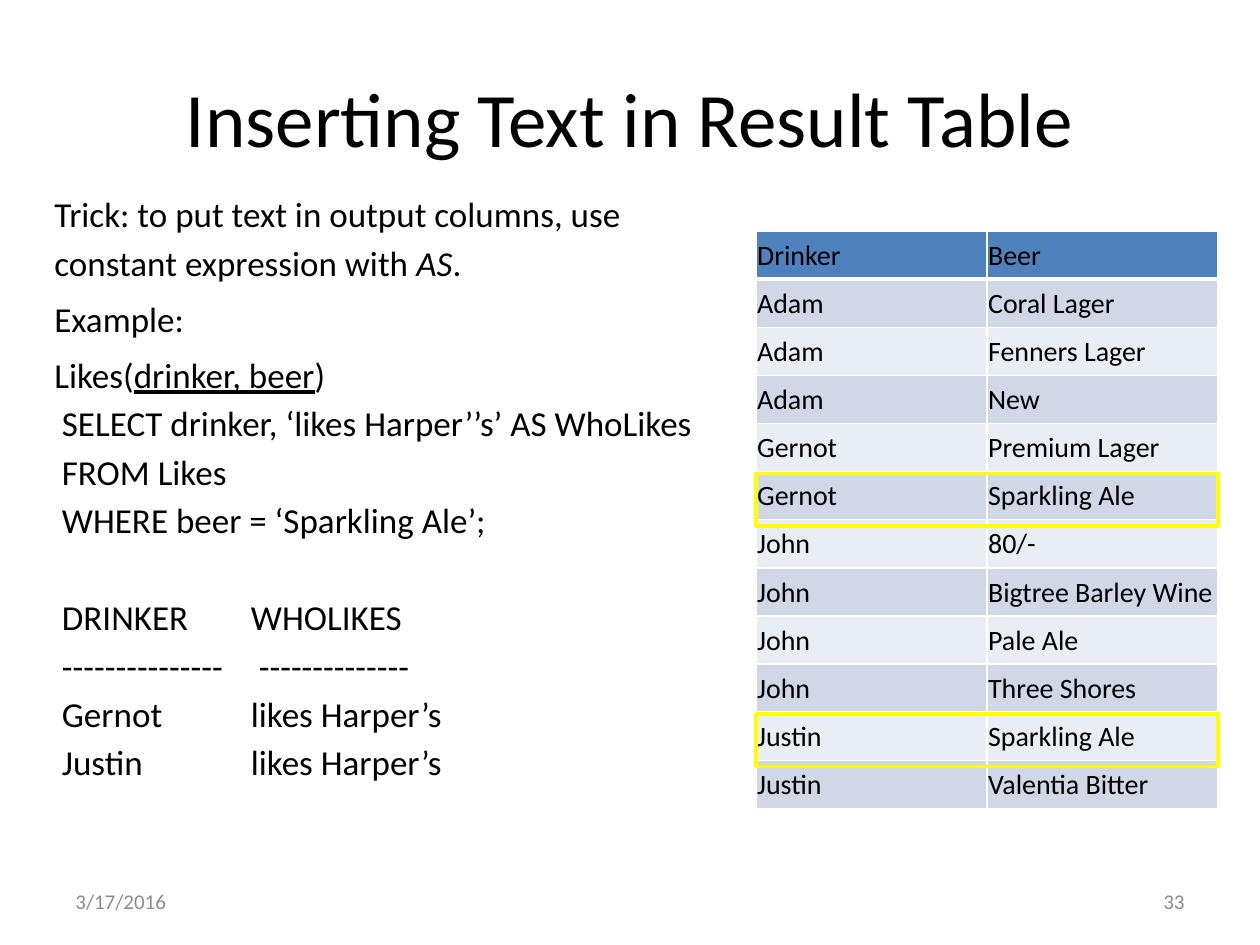
from pptx import Presentation
from pptx.util import Pt
from pptx.dml.color import RGBColor
from pptx.enum.shapes import MSO_SHAPE
from pptx.enum.text import MSO_ANCHOR as Anchor, PP_ALIGN as Align
from pptx.oxml.ns import qn
from lxml.etree import SubElement

BLACK = RGBColor(0x00, 0x00, 0x00)
WHITE = RGBColor(0xFF, 0xFF, 0xFF)
GRAY = RGBColor(0x8C, 0x8C, 0x8C)
BLUE = RGBColor(0x4F, 0x81, 0xBD)
BAND_DARK = RGBColor(0xD0, 0xD8, 0xE8)
BAND_LIGHT = RGBColor(0xE9, 0xED, 0xF4)
YELLOW = RGBColor(0xFF, 0xFF, 0x00)
FONT = "Calibri"

INTRO = [
    [("Trick: to put text in output columns, use constant expression with ", ""),
     ("AS", "italic"), (".", "")],
    [("Example:", "")],
    [("Likes(", ""), ("drinker, beer", "underline"), (")", "")],
]
QUERY = [
    "SELECT drinker, ‘likes Harper’’s’ AS WhoLikes",
    "FROM Likes",
    "WHERE beer = ‘Sparkling Ale’;",
]
RESULT = [
    "DRINKER \tWHOLIKES",
    "---------------\t --------------",
    "Gernot \t\tlikes Harper’s",
    "Justin \t\tlikes Harper’s",
]
LIKES = [
    ("Drinker", "Beer"),
    ("Adam", "Coral Lager"),
    ("Adam", "Fenners Lager"),
    ("Adam", "New"),
    ("Gernot", "Premium Lager"),
    ("Gernot", "Sparkling Ale"),
    ("John", "80/-"),
    ("John", "Bigtree Barley Wine"),
    ("John", "Pale Ale"),
    ("John", "Three Shores"),
    ("Justin", "Sparkling Ale"),
    ("Justin", "Valentia Bitter"),
]


def add_span(para, text, size, color=BLACK, style=""):
    span = para.add_run()
    span.text = text
    font = span.font
    font.name, font.size, font.color.rgb = FONT, Pt(size), color
    if style:
        setattr(font, style, True)


def place(shape, left, top, width, height):
    shape.left, shape.top = Pt(left), Pt(top)
    shape.width, shape.height = Pt(width), Pt(height)


def add_title(page, text, *box):
    title = page.shapes.title
    place(title, *box)
    title.text_frame.vertical_anchor = Anchor.MIDDLE
    para = title.text_frame.paragraphs[0]
    para.alignment = Align.CENTER
    add_span(para, text, 44)


def add_body(page, *box):
    frame = page.shapes.add_textbox(*map(Pt, box)).text_frame
    frame.word_wrap = True
    code = [[(line, "")] for line in QUERY + RESULT]
    for index, spans in enumerate(INTRO + code):
        para = frame.paragraphs[0] if index == 0 else frame.add_paragraph()
        para.space_before = Pt(3.6)
        if index < len(INTRO):
            para.line_spacing = 1.18
        else:
            para._p.get_or_add_pPr().set("marL", str(Pt(4.32)))
        # One line of space parts the query from its result
        if index == len(INTRO) + len(QUERY):
            para.space_before = Pt(31.6)
        for text, style in spans:
            add_span(para, text, 20, style=style)


def add_footer(page, text, align, *box):
    frame = page.shapes.add_textbox(*map(Pt, box)).text_frame
    frame.word_wrap = True
    frame.vertical_anchor = Anchor.MIDDLE
    para = frame.paragraphs[0]
    para.alignment = align
    add_span(para, text, 12, GRAY)


def set_borders(cell, widths):
    props = cell._tc.get_or_add_tcPr()
    for index, (side, width) in enumerate(widths.items()):
        line = props.makeelement(qn("a:" + side), {"w": str(Pt(width))})
        fill = SubElement(line, qn("a:solidFill"))
        SubElement(fill, qn("a:srgbClr"), val=str(WHITE))
        props.insert(index, line)


def add_likes_table(page, left, top, width, height):
    frame = page.shapes.add_table(len(LIKES), 2, *map(Pt, (left, top, width, height)))
    table = frame.table
    row_height = height / len(LIKES)
    for column in table.columns:
        column.width = Pt(width / 2)
    for index, values in enumerate(LIKES):
        table.rows[index].height = Pt(row_height)
        for cell, text in zip(table.rows[index].cells, values):
            cell.margin_left = cell.margin_right = cell.margin_top = Pt(0.7)
            cell.margin_bottom = 0
            cell.vertical_anchor = Anchor.MIDDLE
            cell.fill.solid()
            band = BAND_DARK if index % 2 else BAND_LIGHT
            cell.fill.fore_color.rgb = band if index else BLUE
            add_span(cell.text_frame.paragraphs[0], text, 16)
            set_borders(cell, {"lnL": 1, "lnR": 1,
                               "lnT": 3 if index == 1 else 1,
                               "lnB": 1 if index else 3})

    # Frames around the rows that the query selects
    for index, (_, beer) in enumerate(LIKES):
        if beer == "Sparkling Ale":
            mark = page.shapes.add_shape(
                MSO_SHAPE.RECTANGLE, Pt(left), Pt(top + index * row_height + 1),
                Pt(width), Pt(30))
            mark.shadow.inherit = False
            mark.fill.background()
            mark.line.color.rgb = YELLOW
            mark.line.width = Pt(2)


deck = Presentation()
deck.slide_width, deck.slide_height = Pt(720), Pt(540)
page = deck.slides.add_slide(deck.slide_layouts[5])
add_title(page, "Inserting Text in Result Table", 36, 21.6, 648, 90)
add_body(page, 24, 102, 402, 356)
add_footer(page, "3/17/2016", Align.LEFT, 36, 500.5, 168, 28.75)
add_footer(page, "33", Align.RIGHT, 516, 500.5, 168, 28.75)
add_likes_table(page, 432, 132, 264, 330)
deck.save("out.pptx")
